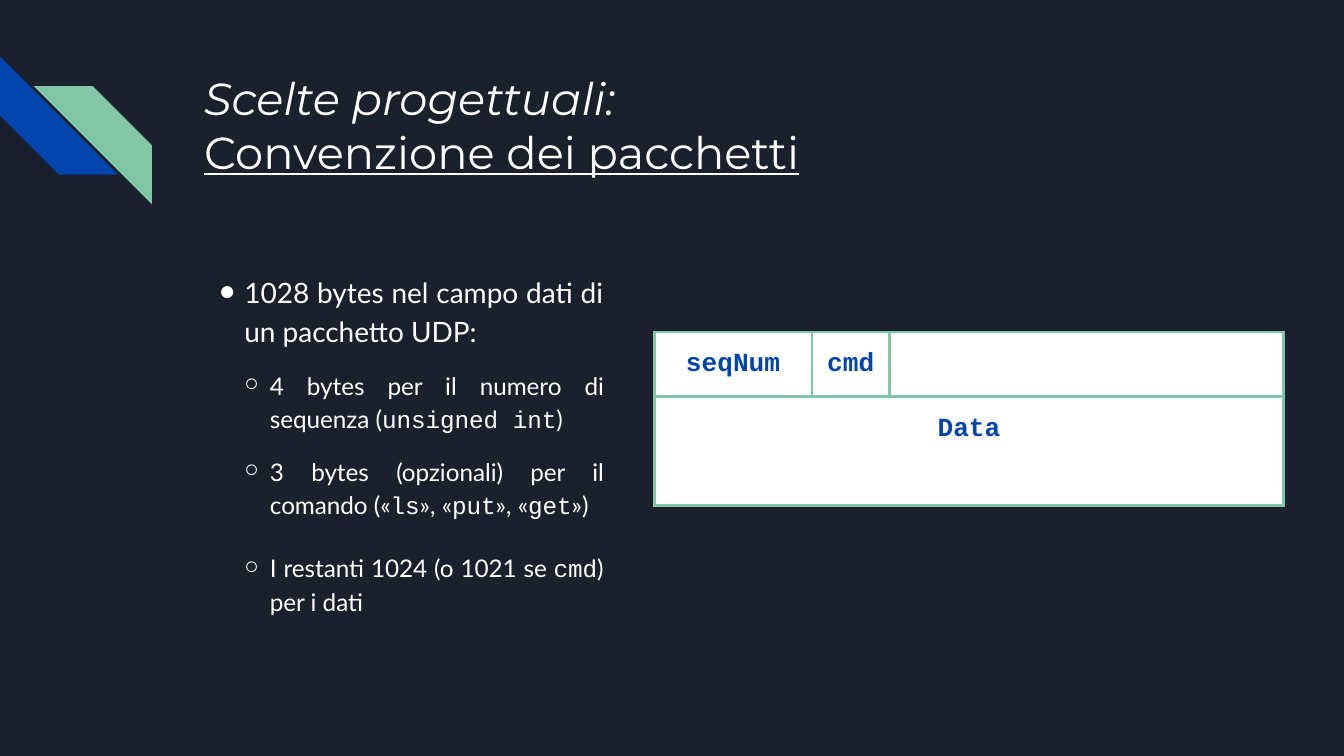
from lxml.etree import SubElement
from pptx import Presentation
from pptx.dml.color import RGBColor
from pptx.enum.shapes import MSO_SHAPE as Preset
from pptx.enum.text import MSO_ANCHOR as Anchor, PP_ALIGN as Align
from pptx.oxml.ns import qn
from pptx.util import Inches, Pt

COLORS = {"night": "1B212C", "blue": "0145AC", "green": "82C7A5", "white": "FFFFFF"}
CODE = "Courier New"
BODY = "Lato"


class SlideBuilder:
    """Hold the deck style and the slide being built."""

    def __init__(self, presentation):
        self.slide = presentation.slides.add_slide(presentation.slide_layouts[6])
        self.fill(self.slide.background, "night")

    def color(self, name):
        return RGBColor.from_string(COLORS[name])

    def fill(self, target, name):
        target.fill.solid()
        target.fill.fore_color.rgb = self.color(name)

    def apply(self, target, values):
        for name, value in values.items():
            setattr(target, name, value)

    def stripe(self, box, color, rotation=0, flip=False):
        shape = self.slide.shapes.add_shape(Preset.DIAGONAL_STRIPE, *map(Inches, box))
        self.apply(shape, {"rotation": rotation})
        shape.shadow.inherit = False
        shape.adjustments[0] = 0.5
        self.fill(shape, color)
        shape.line.fill.background()
        if flip:
            shape._element.spPr.find(qn("a:xfrm")).set("flipH", "1")

    def text_box(self, box, anchor):
        frame = self.slide.shapes.add_textbox(*map(Inches, box)).text_frame
        sides = ("left", "top", "right", "bottom")
        margins = {f"margin_{side}": Inches(0.1) for side in sides}
        self.apply(frame, {"word_wrap": True, "vertical_anchor": anchor, **margins})
        return frame

    def run(self, paragraph, text, font, size, color="white", **style):
        run = paragraph.add_run()
        run.text = text
        self.apply(run.font, {"name": font, "size": Pt(size), **style})
        run.font.color.rgb = self.color(color)

    def title(self, box, first, second):
        paragraph = self.text_box(box, Anchor.TOP).paragraphs[0]
        self.run(paragraph, first, "Montserrat", 24, italic=True)
        paragraph.add_line_break()
        self.run(paragraph, second, "Montserrat", 24, underline=True)

    def bullets(self, box, items):
        frame = self.text_box(box, Anchor.MIDDLE)
        for index, (level, before, after, pieces) in enumerate(items):
            paragraph = frame.add_paragraph() if index else frame.paragraphs[0]
            self.apply(paragraph, {
                "alignment": Align.JUSTIFY, "level": level, "line_spacing": 1.15,
                "space_before": Pt(before), "space_after": Pt(after),
            })
            symbol, indent, size = (("●", 0.3, 15), ("○", 0.49, 13))[level]
            properties = paragraph._p.get_or_add_pPr()
            properties.set("marL", str(Inches(indent)))
            properties.set("indent", str(Inches(-0.19)))
            bullet_color = SubElement(properties, qn("a:buClr"))
            SubElement(bullet_color, qn("a:srgbClr"), val=COLORS["white"])
            SubElement(properties, qn("a:buFont"), typeface=CODE)
            SubElement(properties, qn("a:buChar"), char=symbol)
            for position, text in enumerate(pieces):
                self.run(paragraph, text, CODE if position % 2 else BODY, size)

    def cell(self, cell, text):
        properties = cell._tc.get_or_add_tcPr()
        for side in "LRTB":
            border = SubElement(properties, qn(f"a:ln{side}"), w=str(Pt(1.5)))
            solid = SubElement(border, qn("a:solidFill"))
            SubElement(solid, qn("a:srgbClr"), val=COLORS["green"])
        self.fill(cell, "white")
        margin = Inches(0.1 if text else 0)
        self.apply(cell, {"margin_left": margin, "margin_right": margin,
                          "margin_top": margin, "margin_bottom": margin})
        if text:
            paragraph = cell.text_frame.paragraphs[0]
            self.apply(paragraph, {"alignment": Align.CENTER, "line_spacing": 1.15})
            self.run(paragraph, text, CODE, 14, "blue", bold=True)

    def packet_table(self, left, top, widths, heights, rows):
        size = (left, top, sum(widths), sum(heights))
        table = self.slide.shapes.add_table(
            len(heights), len(widths), *map(Inches, size)).table
        self.apply(table, {"first_row": False, "horz_banding": False})
        for column, width in zip(table.columns, widths):
            column.width = Inches(width)
        for row, height in zip(table.rows, heights):
            row.height = Inches(height)
        table.cell(1, 0).merge(table.cell(1, len(widths) - 1))
        for row, texts in zip(table.rows, rows):
            for cell, text in zip(row.cells, texts):
                self.cell(cell, text)


def main():
    presentation = Presentation()
    presentation.slide_width = Inches(10)
    presentation.slide_height = Inches(10 * 9 / 16)
    builder = SlideBuilder(presentation)
    builder.stripe((0, 0.42, 0.88, 0.88), "blue", rotation=270)
    builder.stripe((0.25, 0.64, 0.88, 0.88), "green", flip=True)
    builder.title((1.42, 0.43, 7.7, 1), "Scelte progettuali:", "Convenzione dei pacchetti")
    builder.bullets((1.42, 1.71, 3.17, 3.18), [
        (0, 10, 0, ["1028 bytes nel campo dati di un pacchetto UDP:"]),
        (1, 10, 0, ["4 bytes per il numero di sequenza (", "unsigned int", ")"]),
        (1, 10, 0, ["3 bytes (opzionali) per il comando («", "ls", "», «", "put",
                    "», «", "get", "»)"]),
        (1, 16, 10, ["I restanti 1024 (o 1021 se ", "cmd", ") per i dati"]),
    ])
    builder.packet_table(4.87, 2.47, (1.17, 0.58, 2.93), (0.48, 0.81),
                         (("seqNum", "cmd", ""), ("Data", "", "")))
    presentation.save("out.pptx")


if __name__ == "__main__":
    main()
